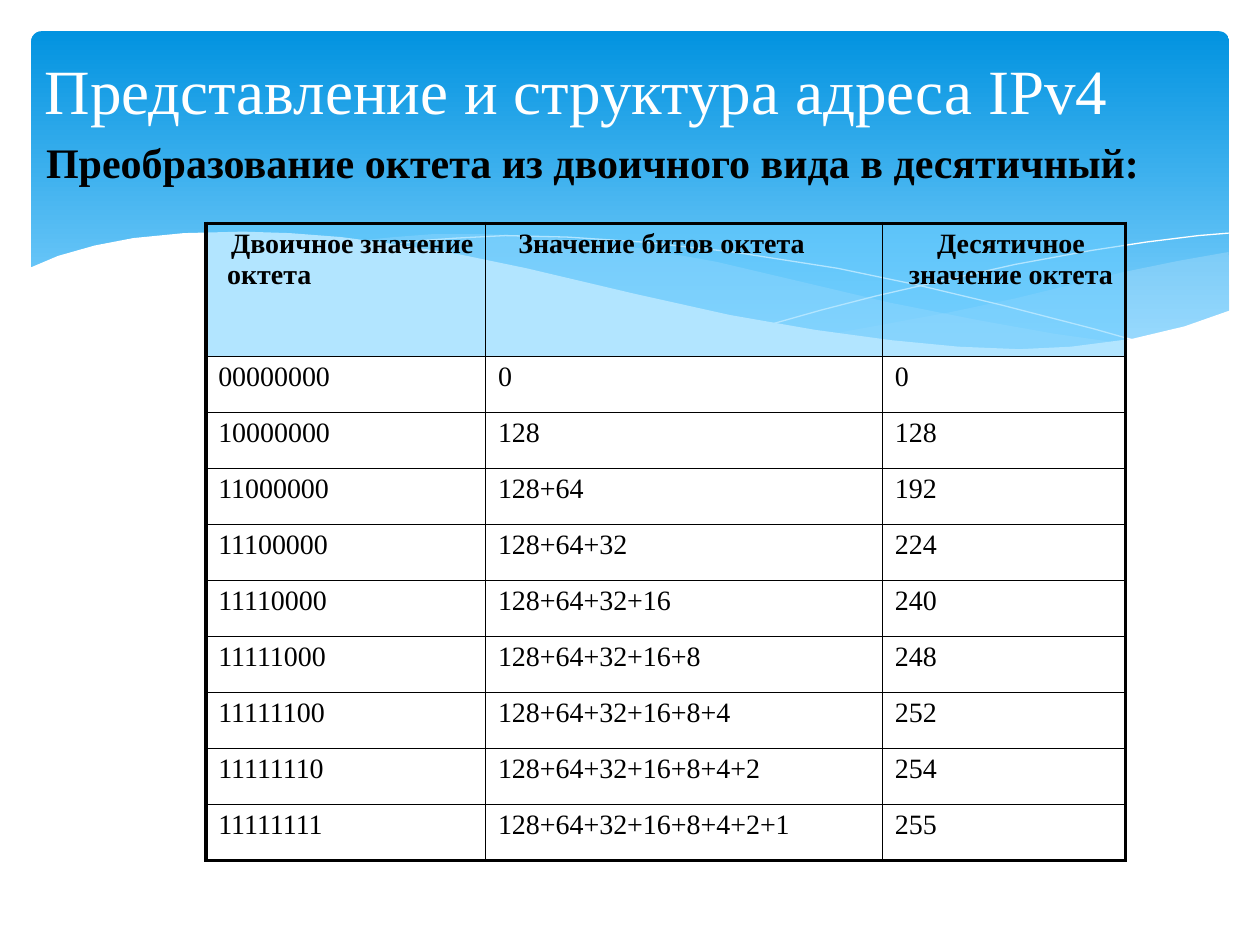
from dataclasses import dataclass

from lxml import etree
from pptx import Presentation
from pptx.dml.color import RGBColor
from pptx.enum.shapes import MSO_SHAPE
from pptx.enum.text import MSO_ANCHOR, MSO_AUTO_SIZE, PP_ALIGN
from pptx.oxml.ns import qn
from pptx.util import Cm, Pt

ROUND = MSO_SHAPE.ROUNDED_RECTANGLE
MIDDLE = MSO_ANCHOR.MIDDLE
GROW = MSO_AUTO_SIZE.SHAPE_TO_FIT_TEXT
LEFT, CENTER, JUSTIFY = PP_ALIGN.LEFT, PP_ALIGN.CENTER, PP_ALIGN.JUSTIFY


@dataclass(frozen=True)
class Theme:
    font: str = "Times New Roman"
    black: str = "000000"
    white: str = "FFFFFF"
    deep: str = "0293E0"
    sky: str = "83D3FE"
    mist: str = "C6E7FC"
    head: str = "66CCFF"
    title: float = 36
    lead: float = 24
    cell: float = 16
    thick: float = 2.25
    thin: float = 1


@dataclass(frozen=True)
class Wave:
    points: tuple
    color: str
    alpha: int = 100
    closed: bool = True


@dataclass(frozen=True)
class Style:
    size: float
    color: str = "000000"
    bold: bool = False
    align: PP_ALIGN = LEFT
    margin: float = 0
    indent: float = 0
    before: float = 0


THEME = Theme()
WAVES = (
    Wave(((24.77, 5.08), (23.75, 5.26), (22.63, 5.49), (20.45, 6.02), (19.13, 6.3),
          (16.79, 6.73), (17.91, 6.88), (19.23, 7.01), (20.4, 7.06), (21.69, 7.01),
          (22.78, 6.86), (23.75, 6.65), (24.79, 6.27)), THEME.mist, 29),
    Wave(((22.68, 6.93), (21.26, 6.73), (19.69, 6.45), (17.93, 6.1), (15.98, 5.64),
          (14.45, 5.28), (13.06, 5.03), (11.79, 4.85), (10.67, 4.75), (9.65, 4.72),
          (8.74, 4.72), (7.95, 4.78), (7.26, 4.85), (8.69, 5.05), (10.26, 5.36),
          (12.47, 5.89), (14.38, 6.3), (16.1, 6.63), (17.65, 6.86), (19, 7.01),
          (20.22, 7.09), (21.29, 7.06)), THEME.mist, 40),
    Wave(((7.85, 4.95), (8.51, 4.85), (9.22, 4.8), (10.19, 4.75), (11.43, 4.78),
          (12.95, 4.88), (14.78, 5.08), (16.89, 5.41), (18.47, 5.74), (20.19, 6.15),
          (22.05, 6.63), (23.04, 6.91)), THEME.white, closed=False),
    Wave(((15.57, 6.53), (16.56, 6.25), (17.65, 5.97), (19, 5.66), (20.47, 5.33),
          (22, 5.05), (23.11, 4.88), (24.16, 4.75), (24.77, 4.7)),
         THEME.white, closed=False),
    Wave(((24.82, 6.25), (23.88, 6.58), (22.83, 6.83), (21.59, 6.99), (20.55, 7.04),
          (19.33, 6.99), (17.98, 6.86), (16.43, 6.65), (14.71, 6.35), (12.78, 5.92),
          (10.62, 5.41), (9.27, 5.13), (8, 4.93), (6.88, 4.78), (5.84, 4.7),
          (4.9, 4.67), (3.71, 4.7), (2.69, 4.8), (1.91, 4.95), (1.17, 5.16),
          (0.58, 5.41), (0.58, 8.36), (24.82, 8.36)), THEME.white),
)
HEADS = (
    ("Двоичное значение октета",
     Style(THEME.cell, bold=True, margin=0.43, indent=0.08, before=3.5)),
    ("Значение битов октета",
     Style(THEME.cell, bold=True, margin=0.66, before=3.5)),
    ("Десятичное значение октета",
     Style(THEME.cell, bold=True, align=CENTER, margin=0.28, before=3.5)),
)
BODY = Style(THEME.cell, margin=0.25, before=3.5)
WIDTHS = (5.64, 8, 4.9)
BITS = [2 ** power for power in range(7, -1, -1)]


def set_fill(fill, holder, color: str, alpha: int = 100) -> None:
    fill.solid()
    fill.fore_color.rgb = RGBColor.from_string(color)
    if alpha < 100:
        tint = holder.find(qn("a:solidFill"))[0]
        etree.SubElement(tint, qn("a:alpha"), val=str(alpha * 1000))


def write(frame, text: str, style: Style, top: float):
    frame.margin_left = frame.margin_right = frame.margin_bottom = Cm(0)
    frame.margin_top = Cm(top)
    frame.word_wrap = True
    para = frame.paragraphs[0]
    para.alignment = style.align
    para.space_before = Pt(style.before)
    props = para._p.get_or_add_pPr()
    props.set("marL", str(Cm(style.margin)))
    props.set("indent", str(Cm(style.indent)))
    run = para.add_run()
    run.text = text
    run.font.name = THEME.font
    run.font.size = Pt(style.size)
    run.font.bold = style.bold
    run.font.color.rgb = RGBColor.from_string(style.color)
    return para


def draw_band(shapes) -> None:
    band = shapes.add_shape(ROUND, Cm(0.63), Cm(0.63), Cm(24.15), Cm(6.86))
    band.adjustments[0] = 0.03
    band.shadow.inherit = False
    band.line.fill.background()
    band.fill.gradient()
    band.fill.gradient_angle = 270
    stops = ((0, THEME.deep), (0.9, THEME.sky))
    for stop, (place, color) in zip(band.fill.gradient_stops, stops):
        stop.position = place
        stop.color.rgb = RGBColor.from_string(color)


def draw_wave(shapes, wave: Wave) -> None:
    points = [(Cm(x), Cm(y)) for x, y in wave.points]
    pen = shapes.build_freeform(*points[0])
    pen.add_line_segments(points[1:], close=wave.closed)
    shape = pen.convert_to_shape()
    shape.shadow.inherit = False
    if wave.closed:
        set_fill(shape.fill, shape._element.spPr, wave.color, wave.alpha)
        shape.line.fill.background()
    else:
        shape.fill.background()
        shape.line.color.rgb = RGBColor.from_string(wave.color)
        shape.line.width = Pt(0)


def set_edge(props, side: str, width: float) -> None:
    line = etree.SubElement(props, qn(f"a:ln{side}"), w=str(Pt(width)))
    paint = etree.SubElement(line, qn("a:solidFill"))
    etree.SubElement(paint, qn("a:srgbClr"), val=THEME.black)


def draw_table(shapes) -> None:
    rows = [HEADS]
    for count in range(len(BITS) + 1):
        used = BITS[:count]
        texts = ("1" * count + "0" * (len(BITS) - count),
                 "+".join(map(str, used)) or "0", str(sum(used)))
        rows.append([(text, BODY) for text in texts])
    table = shapes.add_table(len(rows), len(WIDTHS), Cm(4.15), Cm(4.5),
                             Cm(sum(WIDTHS)), Cm(12.85)).table
    table.first_row = table.horz_banding = False
    for col, width in zip(table.columns, WIDTHS):
        col.width = Cm(width)
    for r, row in enumerate(rows):
        table.rows[r].height = Cm(1.13 if r else 2.69)
        for c, (text, style) in enumerate(row):
            cell = table.cell(r, c)
            write(cell.text_frame, text, style, 0.1)
            cell.margin_left = cell.margin_right = cell.margin_bottom = Cm(0)
            cell.margin_top = Cm(0.1)
            props = cell._tc.get_or_add_tcPr()
            outer = {"L": c == 0, "R": c == len(WIDTHS) - 1,
                     "T": r == 0, "B": r == len(rows) - 1}
            for side, edge in outer.items():
                set_edge(props, side, THEME.thick if edge else THEME.thin)
            if r:
                cell.fill.background()
            else:
                set_fill(cell.fill, props, THEME.head, 50)


def main() -> None:
    deck = Presentation()
    deck.slide_width, deck.slide_height = Cm(25.4), Cm(19.05)
    slide = deck.slides.add_slide(deck.slide_layouts[5])
    shapes = slide.shapes
    draw_band(shapes)
    for wave in WAVES:
        draw_wave(shapes, wave)
    lead = shapes.add_textbox(Cm(0.9), Cm(2.72), Cm(23.42), Cm(1.07))
    write(lead.text_frame, "Преобразование октета из двоичного вида в десятичный:",
          Style(THEME.lead, bold=True, margin=0.03, before=1), 0.03)
    lead.text_frame.auto_size = GROW
    draw_table(shapes)
    title = shapes.title
    title.left, title.top, title.width, title.height = Cm(0.9), Cm(1.4), Cm(24.3), Cm(1.17)
    para = write(title.text_frame, "Представление и структура адреса IPv4",
                 Style(THEME.title, THEME.white, align=JUSTIFY, before=0.9), 0.03)
    para.line_spacing = Pt(31.4)
    title.text_frame.vertical_anchor = MIDDLE
    title.text_frame.auto_size = GROW
    shapes._spTree.append(title._element)
    deck.save("out.pptx")


if __name__ == "__main__":
    main()
